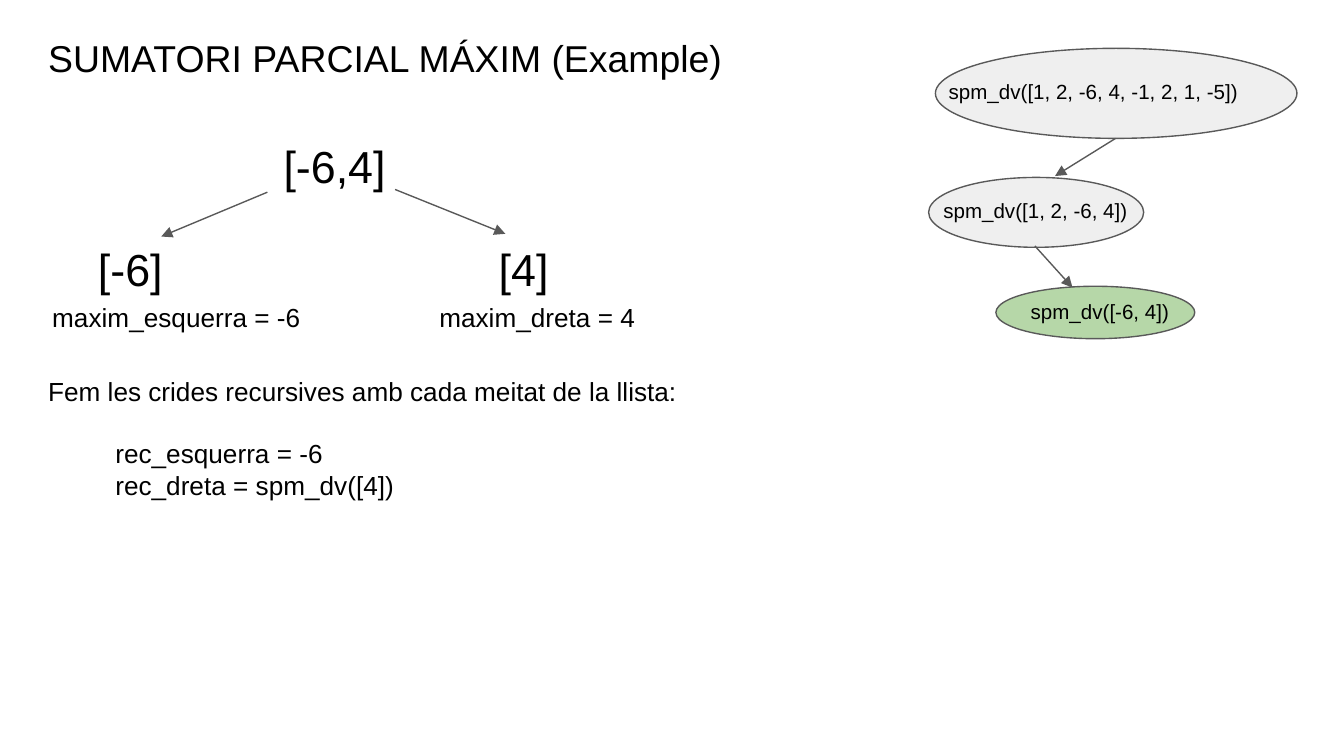
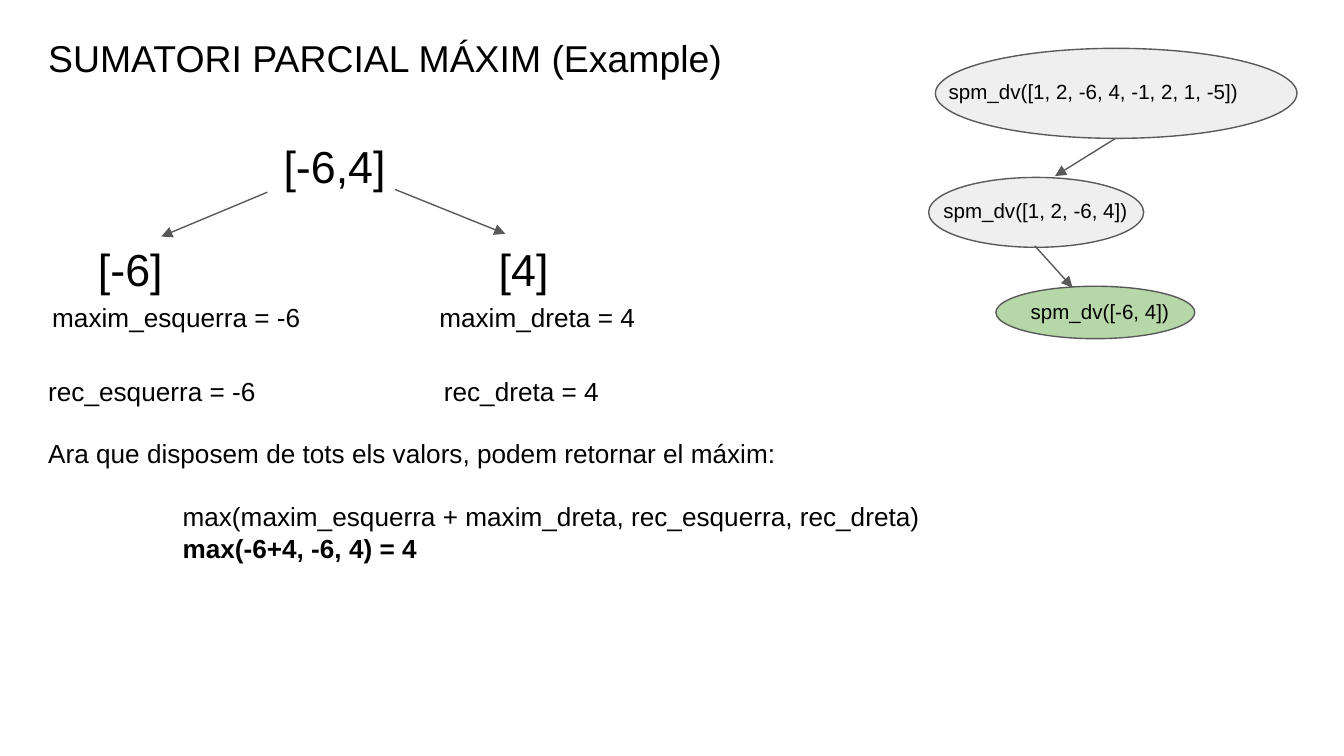
from lxml.etree import SubElement
from pptx import Presentation
from pptx.dml.color import RGBColor
from pptx.enum.shapes import MSO_CONNECTOR as Connector, MSO_SHAPE as Shape
from pptx.oxml.ns import qn
from pptx.util import Pt

BLACK, LINE, GREY, GREEN = "000000", "595959", "EFEFEF", "B6D7A8"
TITLE, LIST, BODY, CALL = 20, 24, 14, 11
LINE_GAP = 16.8
LEFT, EXPLANATION_TOP = 18.72, 193.68


def color(hex_value):
    return RGBColor.from_string(hex_value)


class Painter:
    """Holds the deck, its style and the current page."""

    def __init__(self):
        self.deck = Presentation()
        self.deck.slide_width, self.deck.slide_height = Pt(720), Pt(405)
        self.page = None

    def add_page(self):
        self.page = self.deck.slides.add_slide(self.deck.slide_layouts[6])

    def text(self, left, top, width, height, size, *lines):
        box = self.page.shapes.add_textbox(Pt(left), Pt(top), Pt(width), Pt(height))
        frame = box.text_frame
        frame.word_wrap = True
        frame.margin_left = frame.margin_right = Pt(7.2)
        frame.margin_top = frame.margin_bottom = Pt(7.2)
        for index, line in enumerate(lines):
            para = frame.paragraphs[0] if index == 0 else frame.add_paragraph()
            self.fill_para(para, size, **line)

    def fill_para(self, para, size, words, indent=0, gap=0, bold=False):
        para.space_before = Pt(gap)
        properties = para._p.get_or_add_pPr()
        properties.set("marL", str(Pt(indent)))
        properties.set("indent", "0")
        para.font.name, para.font.size = "Arial", Pt(size)
        para.font.bold = bold
        para.font.color.rgb = color(BLACK)
        para.add_run().text = words

    def ellipse(self, left, top, width, height, fill):
        oval = self.page.shapes.add_shape(
            Shape.OVAL, Pt(left), Pt(top), Pt(width), Pt(height))
        oval.shadow.inherit = False
        oval.fill.solid()
        oval.fill.fore_color.rgb = color(fill)
        oval.line.color.rgb = color(LINE)
        oval.line.width = Pt(0.75)

    def arrow(self, *ends):
        arrow = self.page.shapes.add_connector(
            Connector.STRAIGHT, *(Pt(end) for end in ends))
        arrow.line.color.rgb = color(LINE)
        arrow.line.width = Pt(0.75)
        SubElement(arrow.line._get_or_add_ln(), qn("a:tailEnd"), type="triangle")
        SubElement(arrow._element.spPr, qn("a:effectLst"))

    def call(self, oval, fill, text_left, text_top, words):
        self.ellipse(*oval, fill)
        self.text(text_left, text_top, 202.32, 23.76, CALL, dict(words=words))


def draw_split(painter):
    """Draw the title, the halved list and the tree of calls."""
    painter.text(LEFT, 11.52, 599.04, 37.44, TITLE,
                 dict(words="SUMATORI PARCIAL MÁXIM (Example)"))
    for left, top, width, words in ((118.08, 66.96, 152.64, "[-6,4]"),
                                    (LEFT, 122.4, 180, "[-6]"),
                                    (233.4, 122.4, 136.68, "[4]")):
        painter.text(left, top, width, 37.44, LIST, dict(words=words, indent=26.7))
    painter.text(20.88, 154.08, 188.64, 123.84, BODY,
                 dict(words="maxim_esquerra = -6"))
    painter.text(228.24, 154.08, 188.64, 101.52, BODY,
                 dict(words="maxim_dreta = 4"))
    painter.call((501.12, 25.92, 193.68, 48.24), GREY, 501.12, 35.8,
                 "spm_dv([1, 2, -6, 4, -1, 2, 1, -5])")
    painter.call((497.52, 95.04, 115.2, 37.44), GREY, 498.24, 99.6,
                 "spm_dv([1, 2, -6, 4])")
    painter.call((533.52, 153.36, 106.56, 28.08), GREEN, 545.04, 153.5,
                 "spm_dv([-6, 4])")
    for ends in ((143.28, 102.96, 86.4, 126.72), (211.68, 101.52, 270.72, 125.28),
                 (597.6, 74.16, 565.2, 94.32), (554.4, 131.76, 574.56, 154.08)):
        painter.arrow(*ends)


def main():
    painter = Painter()
    explanations = (
        (366.48, 72, (
            dict(words="Fem les crides recursives amb cada meitat de la llista:"),
            dict(words="rec_esquerra = -6", indent=36, gap=LINE_GAP),
            dict(words="rec_dreta = spm_dv([4])", indent=36))),
        (555.84, 143.28, (
            dict(words="rec_esquerra = -6"),
            dict(words="Ara que disposem de tots els valors, podem retornar el máxim:",
                 gap=LINE_GAP),
            dict(words="max(maxim_esquerra + maxim_dreta, rec_esquerra, rec_dreta)",
                 indent=72, gap=LINE_GAP),
            dict(words="max(-6+4, -6, 4) = 4", indent=72, bold=True))),
    )
    for width, height, lines in explanations:
        painter.add_page()
        draw_split(painter)
        painter.text(LEFT, EXPLANATION_TOP, width, height, BODY, *lines)
    painter.text(230.72, EXPLANATION_TOP, 188.64, 31, BODY,
                 dict(words="rec_dreta = 4"))
    painter.deck.save("out.pptx")


if __name__ == "__main__":
    main()
